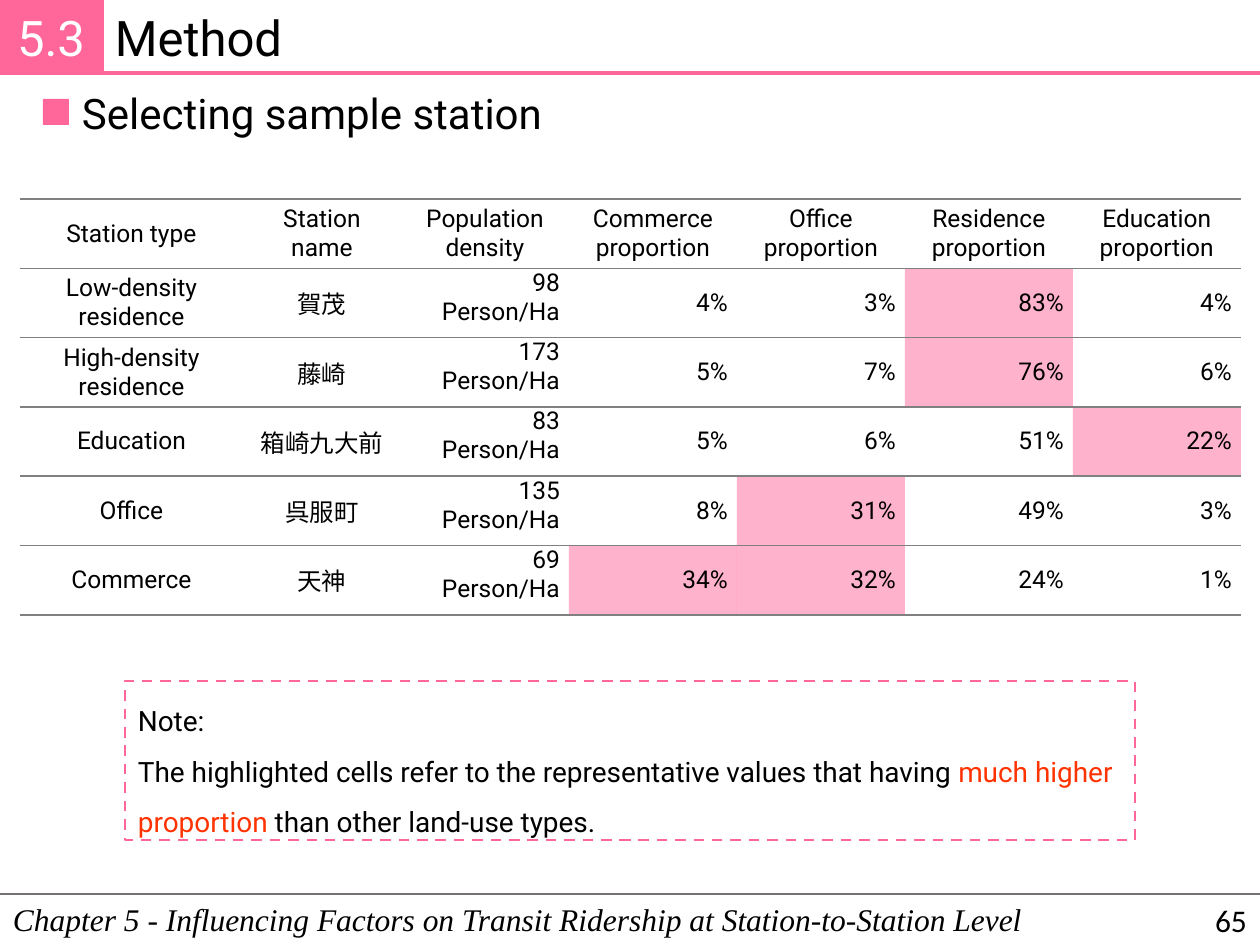
from lxml.etree import SubElement
from pptx import Presentation
from pptx.dml.color import RGBColor
from pptx.enum.dml import MSO_LINE
from pptx.enum.shapes import MSO_CONNECTOR, MSO_SHAPE
from pptx.enum.text import MSO_ANCHOR, MSO_AUTO_SIZE, PP_ALIGN
from pptx.oxml.ns import qn
from pptx.util import Emu, Pt

PINK = RGBColor(0xFF, 0x66, 0x99)
ORANGE = RGBColor(0xFF, 0x33, 0x00)
GRAY = RGBColor(0x80, 0x80, 0x80)
RULE_GRAY = RGBColor(0x76, 0x71, 0x71)
BLACK = RGBColor(0, 0, 0)
WHITE = RGBColor(0xFF, 0xFF, 0xFF)

PX_PER_INCH = 126
NO_STYLE_NO_GRID = "{2D5ABB26-0587-4C30-8999-92F81FD0307C}"
HEADINGS = ["Station type", "Station name", "Population density", "Commerce proportion",
            "Office proportion", "Residence proportion", "Education proportion"]
STATIONS = [
    ("Low-density residence", "賀茂", 98, 4, 3, 83, 4),
    ("High-density residence", "藤崎", 173, 5, 7, 76, 6),
    ("Education", "箱崎九大前", 83, 5, 6, 51, 22),
    ("Office", "呉服町", 135, 8, 31, 49, 3),
    ("Commerce", "天神", 69, 34, 32, 24, 1),
]
HIGHLIGHTS = {(1, 5), (2, 5), (3, 6), (4, 4), (5, 3), (5, 4)}


def px(length):
    """Turn pixels into EMU."""
    return Emu(round(length * 914400 / PX_PER_INCH))


def write(frame, *paragraphs, size, font="Roboto", color=BLACK, align=PP_ALIGN.LEFT,
          spacing=1.0, italic=False):
    """Fill a text frame with paragraphs, each a string or a list of (text, colour) runs."""
    for index, content in enumerate(paragraphs):
        paragraph = frame.paragraphs[0] if index == 0 else frame.add_paragraph()
        paragraph.alignment = align
        paragraph.line_spacing = spacing
        runs = [(content, color)] if isinstance(content, str) else content
        for text, run_color in runs:
            run = paragraph.add_run()
            run.text = text
            run.font.size = Pt(size)
            run.font.name = font
            run.font.italic = italic
            run.font.color.rgb = run_color


def fit(frame, anchor=MSO_ANCHOR.TOP, margin=(13, 6)):
    """Set the anchor, wrapping and margins of a text frame."""
    frame.auto_size = MSO_AUTO_SIZE.NONE
    frame.vertical_anchor = anchor
    frame.word_wrap = True
    frame.margin_left = frame.margin_right = px(margin[0])
    frame.margin_top = frame.margin_bottom = px(margin[1])
    return frame


def place(placeholder, left, top, width, height):
    """Move a placeholder to a box."""
    placeholder.left, placeholder.top = px(left), px(top)
    placeholder.width, placeholder.height = px(width), px(height)


def add_rule(slide, left, top, right, color, weight):
    """Draw a horizontal line."""
    rule = slide.shapes.add_connector(MSO_CONNECTOR.STRAIGHT, px(left), px(top), px(right), px(top))
    rule.line.color.rgb = color
    rule.line.width = Pt(weight)
    SubElement(rule._element.spPr, qn("a:effectLst"))


def add_rectangle(slide, left, top, width, height, fill=None, weight=0):
    """Draw a rectangle with an optional fill and pink outline."""
    rectangle = slide.shapes.add_shape(MSO_SHAPE.RECTANGLE, px(left), px(top), px(width), px(height))
    rectangle.shadow.inherit = False
    if fill is None:
        rectangle.fill.background()
    else:
        rectangle.fill.solid()
        rectangle.fill.fore_color.rgb = fill
    if weight:
        rectangle.line.color.rgb = PINK
        rectangle.line.width = Pt(weight)
    else:
        rectangle.line.fill.background()
    return rectangle


def add_header(slide, left, top, width, height):
    """Place the section number, the title and the line under them."""
    number_width = 102
    number = add_rectangle(slide, left, top, number_width, height, PINK, 2.25)
    write(fit(number.text_frame, MSO_ANCHOR.MIDDLE, margin=(8, 8)), "5.3",
          size=28, color=WHITE, align=PP_ALIGN.CENTER)
    title = slide.shapes.title
    place(title, left + number_width, top + 1, width - number_width, height - 1)
    write(fit(title.text_frame), "Method", size=28)
    add_rule(slide, left + number_width, top + height, left + width, PINK, 2.25)


def add_topic(slide, left, top, width, height):
    """Place the topic line with its square marker."""
    marker = 26
    add_rectangle(slide, left, top + 18, marker, marker, PINK)
    topic = slide.placeholders[1]
    place(topic, left + marker, top, width - marker, height)
    frame = fit(topic.text_frame)
    properties = frame.paragraphs[0]._p.get_or_add_pPr()
    properties.set("marL", "0")
    properties.set("indent", "0")
    SubElement(properties, qn("a:buNone"))
    frame.paragraphs[0].space_before = Pt(0)
    write(frame, "Selecting sample station", size=24)


def add_border(cell, side, weight):
    """Draw one gray border of a cell."""
    line = SubElement(cell._tc.get_or_add_tcPr(), qn(f"a:{side}"), w=str(Pt(weight)))
    SubElement(SubElement(line, qn("a:solidFill")), qn("a:srgbClr"), val=str(GRAY))


def format_cell(cell, row, column):
    """Set the margins, borders and fill of a cell."""
    cell.margin_left = cell.margin_right = px(15 if row and column == 1 else 9)
    cell.margin_top = cell.margin_bottom = 0
    cell.vertical_anchor = MSO_ANCHOR.TOP if row and column == 2 else MSO_ANCHOR.MIDDLE
    add_border(cell, "lnT", 1 if row else 1.5)
    add_border(cell, "lnB", 1)
    if (row, column) in HIGHLIGHTS:
        cell.fill.solid()
        cell.fill.fore_color.rgb = PINK
        tint = cell._tc.tcPr.find(f"{qn('a:solidFill')}/{qn('a:srgbClr')}")
        SubElement(tint, qn("a:alpha"), val="50000")
    else:
        cell.fill.background()


def add_station_table(slide, left, top, width, height):
    """Place the table of sample stations."""
    type_width, name_width = 223, 158
    value_width = (width - type_width - name_width) // 5
    table = slide.shapes.add_table(len(STATIONS) + 1, len(HEADINGS),
                                   px(left), px(top), px(width), px(height)).table
    table.first_row = table.horz_banding = False
    table._tbl.tblPr.find(qn("a:tableStyleId")).text = NO_STYLE_NO_GRID
    for column, column_width in zip(table.columns, [type_width, name_width] + [value_width] * 5):
        column.width = px(column_width)
    rows = [[[heading] for heading in HEADINGS]]
    for kind, name, density, *shares in STATIONS:
        rows.append([[kind], [name], [str(density), "Person/Ha"]] + [[f"{share}%"] for share in shares])
    for row, entries in enumerate(rows):
        for column, lines in enumerate(entries):
            cell = table.cell(row, column)
            format_cell(cell, row, column)
            align = PP_ALIGN.RIGHT if row and column > 1 else PP_ALIGN.CENTER
            write(cell.text_frame, *lines, size=14, align=align)


def add_note(slide, left, top, width, height):
    """Place the dashed box with the note."""
    note = add_rectangle(slide, left, top, width, height, weight=1.5)
    note.line.dash_style = MSO_LINE.DASH
    write(fit(note.text_frame), "Note:", [
        ("The highlighted cells refer to the representative values that having ", BLACK),
        ("much higher proportion ", ORANGE),
        ("than other land-use types.", BLACK),
    ], size=16, spacing=1.5)


def add_footer(slide, left, top, width, height):
    """Place the footer line, the chapter name and the page number."""
    number_width = 283
    add_rule(slide, left, top, left + width, RULE_GRAY, 1)
    chapter = slide.shapes.add_textbox(px(left), px(top), px(width), px(height))
    write(fit(chapter.text_frame),
          "Chapter 5 - Influencing Factors on Transit Ridership at Station-to-Station Level",
          size=18, font="Times New Roman", italic=True)
    page = slide.shapes.add_textbox(px(left + width - number_width), px(top),
                                    px(number_width), px(height))
    write(fit(page.text_frame, MSO_ANCHOR.MIDDLE), "65",
          size=18, font="Calibri", align=PP_ALIGN.RIGHT)


def main():
    """Build the slide and save it."""
    presentation = Presentation()
    presentation.slide_width, presentation.slide_height = px(1260), px(945)
    slide = presentation.slides.add_slide(presentation.slide_layouts[1])
    add_footer(slide, 0, 894, 1260, 51)
    add_header(slide, 0, 0, 1260, 73)
    add_station_table(slide, 20, 199, 1221, 416)
    add_note(slide, 125, 681, 1010, 159)
    add_topic(slide, 43, 81, 540, 63)
    presentation.save("out.pptx")


if __name__ == "__main__":
    main()
